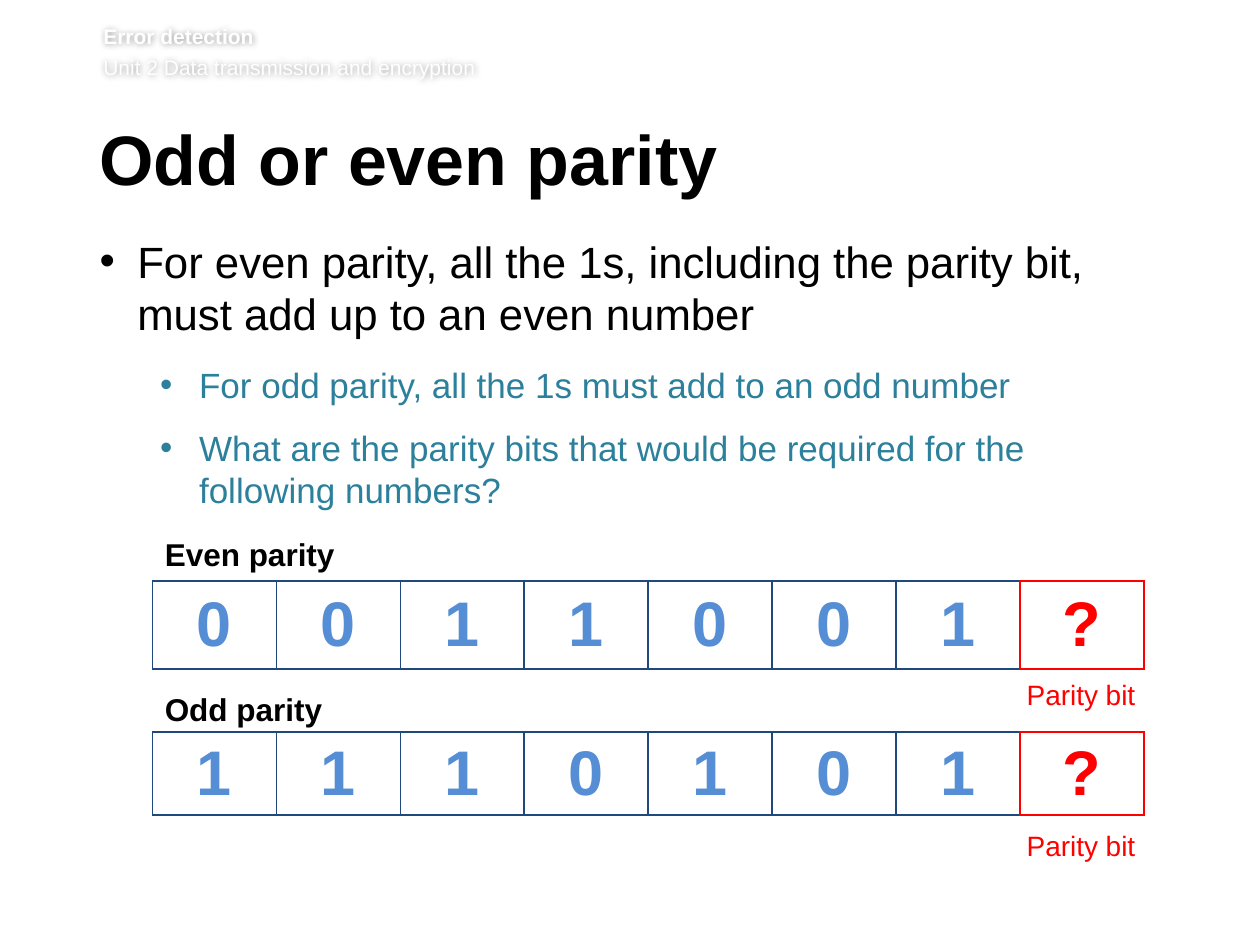
from dataclasses import dataclass

from lxml import etree
from pptx import Presentation
from pptx import util as u
from pptx.dml.color import RGBColor
from pptx.enum import text
from pptx.oxml import ns


@dataclass(frozen=True)
class Theme:
    font: str = "Arial"
    ink: str = "000000"
    pale: str = "FFFFFF"
    teal: str = "2C809C"
    blue: str = "558ED5"
    navy: str = "1F497D"
    red: str = "FF0000"
    head: int = 12
    title: int = 40
    main: int = 25
    sub: int = 20
    label: int = 18
    note: int = 16
    digit: int = 36


COLS, ROWS = 100, 75  # grid over the whole slide


def add(parent, tag, **attrs):
    return etree.SubElement(parent, ns.qn(tag), attrs)


class Deck:
    def __init__(self, theme):
        self.theme = theme
        self.prs = Presentation()
        self.prs.slide_width, self.prs.slide_height = u.Inches(10), u.Inches(7.5)
        self.slide = self.prs.slides.add_slide(self.prs.slide_layouts[5])

    def place(self, col, row, wide, high):
        """Turn grid columns and rows into slide lengths."""
        dx, dy = self.prs.slide_width / COLS, self.prs.slide_height / ROWS
        return [u.Emu(round(n)) for n in (col * dx, row * dy, wide * dx, high * dy)]

    def style(self, para, size, color, bold=False, align=text.PP_ALIGN.LEFT):
        para.alignment = align
        for run in para.runs:
            font = run.font
            font.name, font.size, font.bold = self.theme.font, u.Pt(size), bold
            font.color.rgb = RGBColor.from_string(color)

    def frame(self, shape, left=0.1, top=0.05):
        body = shape.text_frame
        body.word_wrap = True
        body.auto_size = text.MSO_AUTO_SIZE.NONE
        body.vertical_anchor = text.MSO_ANCHOR.TOP
        body.margin_left, body.margin_top = u.Inches(left), u.Inches(top)
        return body

    def title(self, words, box):
        shape = self.slide.shapes.title
        shape.left, shape.top, shape.width, shape.height = self.place(*box)
        body = self.frame(shape, left=0)
        body.text = words
        para = body.paragraphs[0]
        para.line_spacing = u.Pt(39)
        self.style(para, self.theme.title, self.theme.ink, True)

    def box(self, lines, box, **inset):
        """Add a text box and return it with one paragraph per line."""
        shape = self.slide.shapes.add_textbox(*self.place(*box))
        body = self.frame(shape, **inset)
        body.text = "\n".join(lines)
        return shape, body.paragraphs

    def header(self, lines, box):
        shape, paras = self.box(lines, box, left=0, top=0)
        for i, para in enumerate(paras):
            self.style(para, self.theme.head, self.theme.pale, i == 0)
            if i:
                para.space_before = u.Pt(2.9)
        glow = add(add(shape.element.spPr, "a:effectLst"), "a:outerShdw",
                   blurRad=str(u.Pt(4)), dist="0", dir="0")
        add(add(glow, "a:srgbClr", val=self.theme.ink), "a:alpha", val="40000")

    def label(self, words, box, *look):
        para = self.box([words], box)[1][0]
        self.style(para, *look)

    def bullets(self, items, box):
        """Add (level, words) items as a bulleted list."""
        look = self.theme
        levels = [(0.3, 0.3, 14, look.main, look.ink),
                  (0.79, 0.31, 12, look.sub, look.teal)]
        paras = self.box([words for _, words in items], box, left=0, top=0)[1]
        for (level, _), para in zip(items, paras):
            indent, hang, after, size, color = levels[level]
            para.level = level
            para.line_spacing, para.space_after = u.Pt(size * 1.2), u.Pt(after)
            props = para._p.get_or_add_pPr()
            props.set("marL", str(u.Inches(indent)))
            props.set("indent", str(-u.Inches(hang)))
            add(props, "a:buFont", typeface=look.font)
            add(props, "a:buChar", char="•")
            self.style(para, size, color)

    def border(self, cell, **sides):
        props = cell._tc.get_or_add_tcPr()
        for side, color in sides.items():
            line = add(props, "a:ln" + side, w=str(u.Pt(1)))
            add(add(line, "a:solidFill"), "a:srgbClr", val=color)

    def bits(self, digits, box):
        """Add a one-row table whose last cell is the parity bit."""
        look, last = self.theme, len(digits) - 1
        table = self.slide.shapes.add_table(1, len(digits), *self.place(*box)).table
        table.first_row = table.horz_banding = False
        for i, digit in enumerate(digits):
            cell = table.cell(0, i)
            cell.text = digit
            cell.vertical_anchor = text.MSO_ANCHOR.MIDDLE
            cell.margin_top = cell.margin_bottom = u.Inches(0.04)
            edge = look.red if i == last else look.navy
            right = look.red if i >= last - 1 else look.navy
            self.border(cell, L=edge, R=right, T=edge, B=edge)
            cell.fill.background()
            self.style(cell.text_frame.paragraphs[0], look.digit,
                       look.red if i == last else look.blue, True,
                       text.PP_ALIGN.CENTER)


def main():
    look = Theme()
    deck = Deck(look)
    deck.header(["Error detection", "Unit 2 Data transmission and encryption"],
                (8.2, 1.9, 88.2, 4.9))
    deck.title("Odd or even parity", (7.9, 9.9, 85.5, 7.3))
    deck.bullets([
        (0, "For even parity, all the 1s, including the parity bit, "
            "must add up to an even number"),
        (1, "For odd parity, all the 1s must add to an odd number"),
        (1, "What are the parity bits that would be required for the "
            "following numbers?"),
    ], (7.9, 18.6, 85.3, 37.8))
    rows = [("Even parity", "0011001?", 42, 46.1, 7, 53.3),
            ("Odd parity", "1110101?", 54.3, 58.1, 6.6, 65.3)]
    for name, digits, top, grid, high, note in rows:
        deck.bits(digits, (12.1, grid, 78.7, high))
        deck.label(name, (12.1, top, 23, 4), look.label, look.ink, True)
        deck.label("Parity bit", (79.5, note, 12.6, 3.7), look.note, look.red,
                   False, text.PP_ALIGN.CENTER)
    deck.prs.save("out.pptx")


if __name__ == "__main__":
    main()
